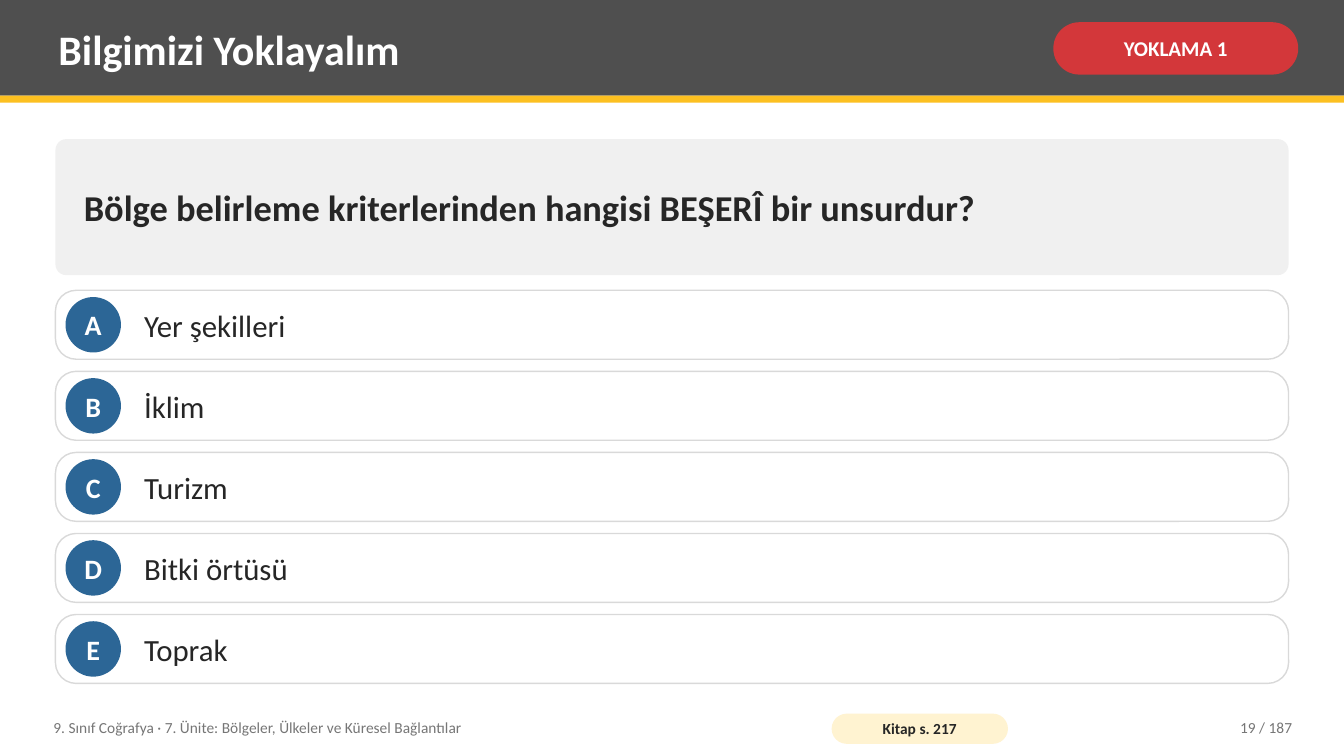
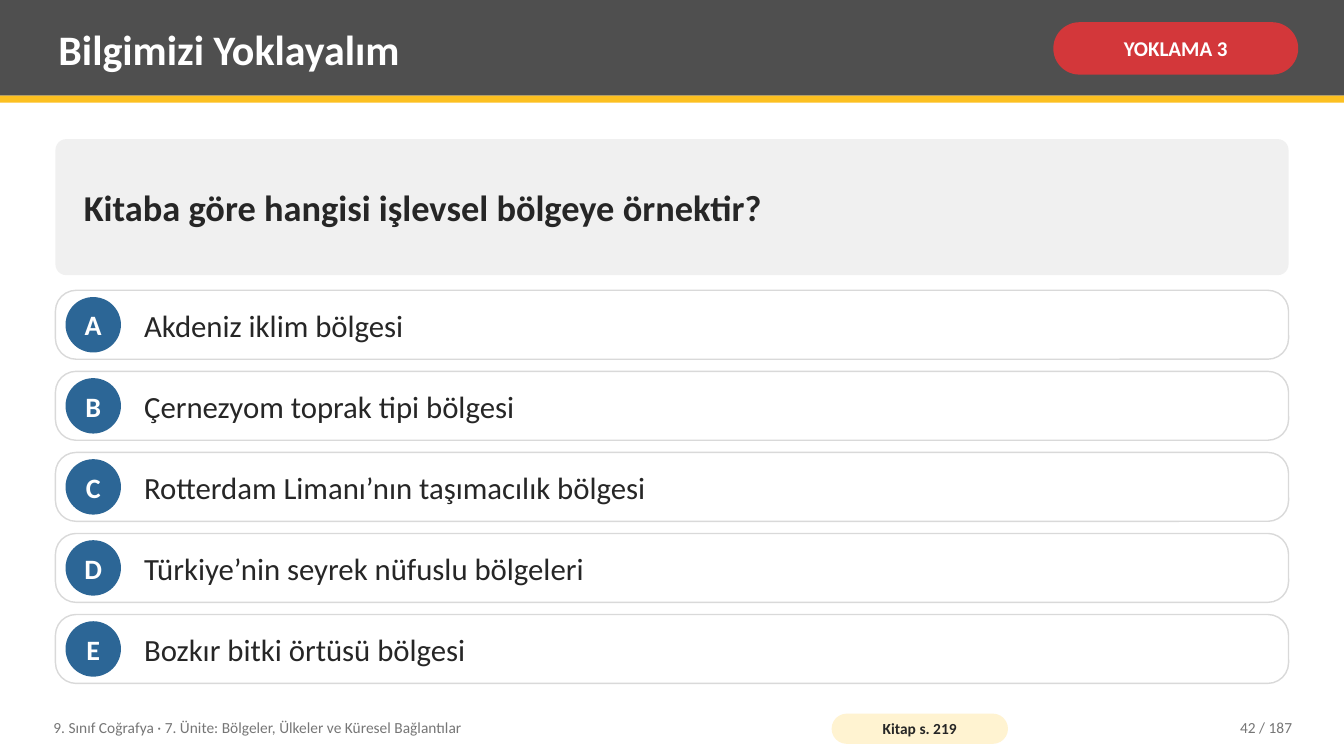
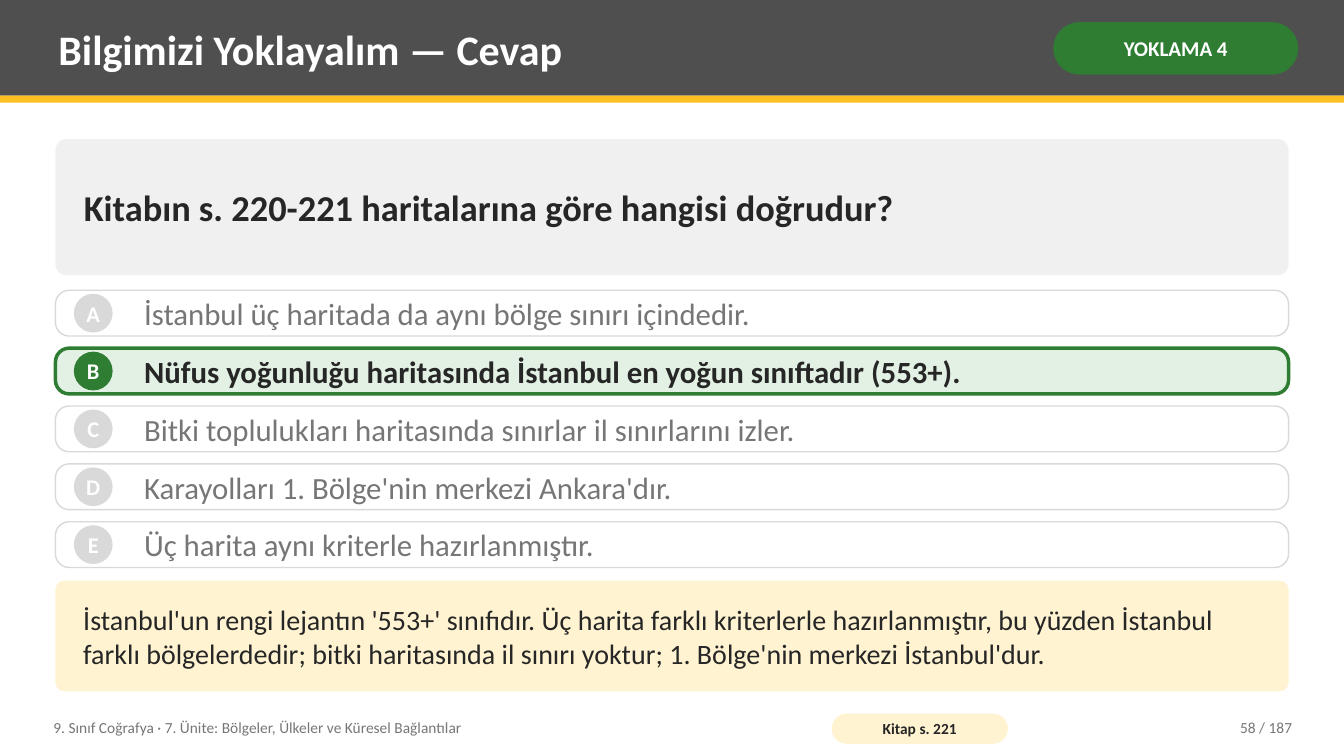
from pptx import Presentation
from pptx.dml.color import RGBColor as RGB
from pptx.enum.shapes import MSO_SHAPE as SHAPE
from pptx.enum.text import MSO_ANCHOR as ANCHOR, MSO_AUTO_SIZE as AUTO, PP_ALIGN as ALIGN
from pptx.util import Pt

C = {
    "band": "4F4F4F", "gold": "FCC021", "red": "D3373A", "green": "2E7D32",
    "blue": "2C6696", "panel": "F0F0F0", "cream": "FFF3D1", "mint": "E3F1E4",
    "rule": "D9D9D9", "ink": "262626", "muted": "767676", "white": "FFFFFF",
}
FONT = "Calibri"
FOOTER = "9. Sınıf Coğrafya · 7. Ünite: Bölgeler, Ülkeler ve Küresel Bağlantılar"
PAGES = 187
W, H = 960, 540
LEFT, WIDE = 39.6, 880.8
OPTIONS_TOP, GAP = 207.36, 8.64
OPTIONS_HEIGHT, ANSWER_OPTIONS_HEIGHT = 280.8, 198
DOT, DOT_CENTER, DOT_INSET = 39.6, 66.6, 2.5

quizzes = [
    {
        "title": "Bilgimizi Yoklayalım", "quiz": 1, "book": 217, "page": 19,
        "question": "Bölge belirleme kriterlerinden hangisi BEŞERÎ bir unsurdur?",
        "options": ["Yer şekilleri", "İklim", "Turizm", "Bitki örtüsü", "Toprak"],
    },
    {
        "title": "Bilgimizi Yoklayalım", "quiz": 3, "book": 219, "page": 42,
        "question": "Kitaba göre hangisi işlevsel bölgeye örnektir?",
        "options": [
            "Akdeniz iklim bölgesi",
            "Çernezyom toprak tipi bölgesi",
            "Rotterdam Limanı’nın taşımacılık bölgesi",
            "Türkiye’nin seyrek nüfuslu bölgeleri",
            "Bozkır bitki örtüsü bölgesi",
        ],
    },
    {
        "title": "Bilgimizi Yoklayalım — Cevap", "quiz": 4, "book": 221, "page": 58,
        "question": "Kitabın s. 220-221 haritalarına göre hangisi doğrudur?",
        "options": [
            "İstanbul üç haritada da aynı bölge sınırı içindedir.",
            "Nüfus yoğunluğu haritasında İstanbul en yoğun sınıftadır (553+).",
            "Bitki toplulukları haritasında sınırlar il sınırlarını izler.",
            "Karayolları 1. Bölge'nin merkezi Ankara'dır.",
            "Üç harita aynı kriterle hazırlanmıştır.",
        ],
        "answer": "B",
        "why": "İstanbul'un rengi lejantın '553+' sınıfıdır. Üç harita farklı kriterlerle "
               "hazırlanmıştır, bu yüzden İstanbul farklı bölgelerdedir; bitki haritasında "
               "il sınırı yoktur; 1. Bölge'nin merkezi İstanbul'dur.",
    },
]


def box(s, kind, x, y, w, h, fill, adj=None, line=None, width=1):
    sp = s.shapes.add_shape(kind, Pt(x), Pt(y), Pt(w), Pt(h))
    sp.shadow.inherit = False
    sp.fill.solid()
    sp.fill.fore_color.rgb = RGB.from_string(C[fill])
    if adj is not None:
        sp.adjustments[0] = adj
    if line:
        sp.line.color.rgb = RGB.from_string(C[line])
        sp.line.width = Pt(width)
    else:
        sp.line.fill.background()
    return sp


def write(sp, text, size, color, bold=False, align=ALIGN.LEFT, ins=(5.76, 2.88), wrap=True):
    tf = sp.text_frame
    tf.auto_size = AUTO.NONE
    tf.word_wrap = wrap
    tf.vertical_anchor = ANCHOR.MIDDLE
    tf.margin_left = tf.margin_right = Pt(ins[0])
    tf.margin_top = tf.margin_bottom = Pt(ins[1])
    p = tf.paragraphs[0]
    p.alignment = align
    r = p.add_run()
    r.text = text
    r.font.name = FONT
    r.font.size = Pt(size)
    r.font.bold = bold
    r.font.color.rgb = RGB.from_string(C[color])


prs = Presentation()
prs.slide_width, prs.slide_height = Pt(W), Pt(H)

for quiz in quizzes:
    s = prs.slides.add_slide(prs.slide_layouts[5])
    answer = quiz.get("answer")

    box(s, SHAPE.RECTANGLE, 0, 0, W, 68.4, "band")
    box(s, SHAPE.RECTANGLE, 0, 68.4, W, 5.04, "gold")
    title = s.shapes.title
    s.shapes.element.append(title.element)
    title.left, title.top, title.width, title.height = Pt(36), Pt(5.04), Pt(702), Pt(59.04)
    write(title, quiz["title"], 30, "white", True)
    badge = box(s, SHAPE.ROUNDED_RECTANGLE, 752.4, 15.84, 174.96, 37.44,
                "green" if answer else "red", 0.5)
    write(badge, f"YOKLAMA {quiz['quiz']}", 15, "white", True, ALIGN.CENTER, (3.6, 1.44))

    panel = box(s, SHAPE.ROUNDED_RECTANGLE, LEFT, 99.36, WIDE, 97.2, "panel", 0.08)
    write(panel, quiz["question"], 26, "ink", True, ins=(18, 5.76))

    total = ANSWER_OPTIONS_HEIGHT if answer else OPTIONS_HEIGHT
    count = len(quiz["options"])
    h = (total - GAP * (count - 1)) / count
    d = min(DOT, h - 2 * DOT_INSET)
    letter_size = 20 if d == DOT else 16
    for i, (letter, option) in enumerate(zip("ABCDE", quiz["options"])):
        y = OPTIONS_TOP + i * (h + GAP)
        right = letter == answer
        if right:
            fill, line, width, dot, ink = "mint", "green", 2.5, "green", "ink"
        elif answer:
            fill, line, width, dot, ink = "white", "rule", 1, "rule", "muted"
        else:
            fill, line, width, dot, ink = "white", "rule", 1, "blue", "ink"
        box(s, SHAPE.ROUNDED_RECTANGLE, LEFT, y, WIDE, h, fill, 0.3, line, width)
        mark = box(s, SHAPE.OVAL, DOT_CENTER - d / 2, y + (h - d) / 2, d, d, dot)
        write(mark, letter, letter_size, "white", True, ALIGN.CENTER, (0, 0), False)
        label = s.shapes.add_textbox(Pt(97.2), Pt(y), Pt(808.8), Pt(h))
        write(label, option, 22, ink, right)

    if answer:
        why = box(s, SHAPE.ROUNDED_RECTANGLE, LEFT, 414.72, WIDE, 79.2, "cream", 0.08)
        write(why, quiz["why"], 20, "ink", ins=(18, 5.76))

    footer = s.shapes.add_textbox(Pt(32.4), Pt(506.88), Pt(547.2), Pt(25.92))
    write(footer, FOOTER, 11, "muted")
    book = box(s, SHAPE.ROUNDED_RECTANGLE, 594, 509.76, 126, 21.6, "cream", 0.5)
    write(book, f"Kitap s. {quiz['book']}", 11, "ink", True, ALIGN.CENTER, (2.88, 0))
    page = s.shapes.add_textbox(Pt(813.6), Pt(506.88), Pt(115.2), Pt(25.92))
    write(page, f"{quiz['page']} / {PAGES}", 11, "muted", align=ALIGN.RIGHT)

prs.save("out.pptx")
